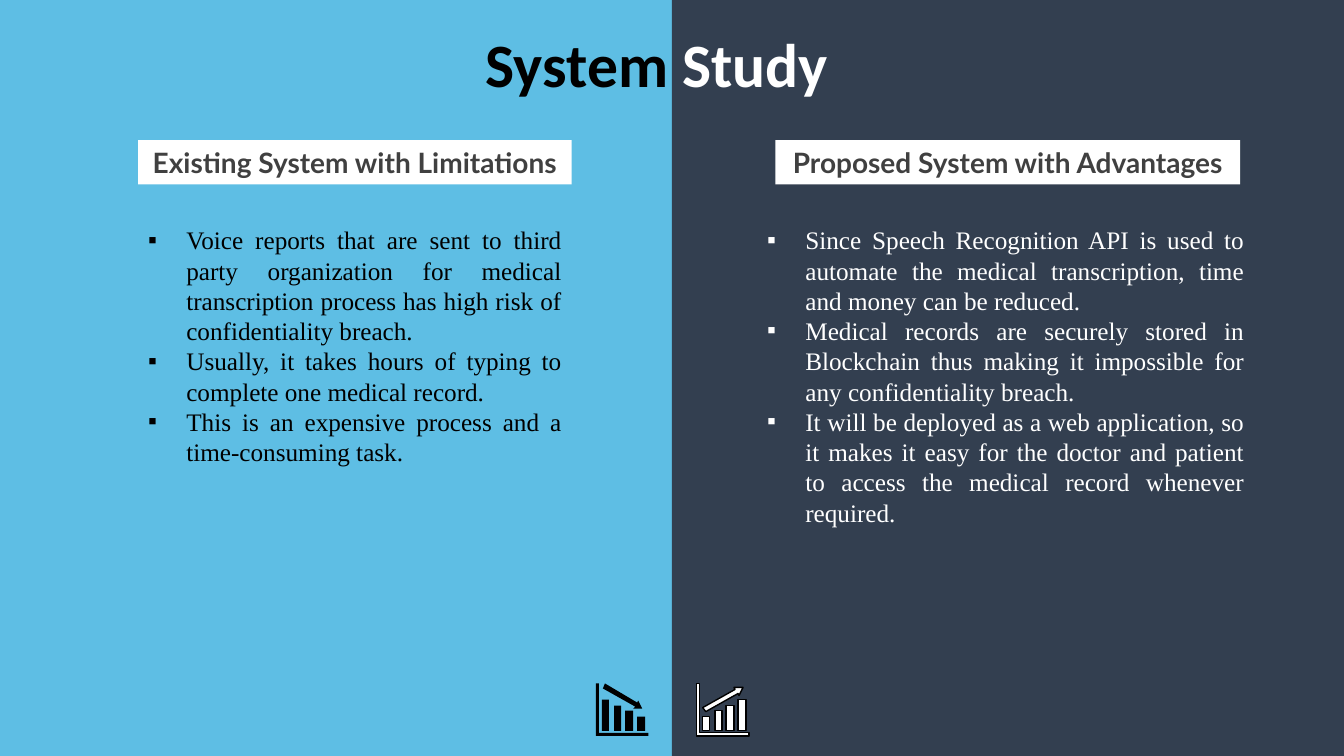
from pptx import Presentation, util as u
from pptx.dml.color import RGBColor
from pptx.enum import shapes, text
from pptx.oxml.ns import qn
from lxml import etree

W, H = 13.33, 7.5
HALF = W / 2
C = {"sky": "5EBEE4", "navy": "333F50", "white": "FFFFFF", "black": "000000", "gray": "404040"}

prs = Presentation()
prs.slide_width, prs.slide_height = u.Inches(W), u.Inches(H)
s = prs.slides.add_slide(prs.slide_layouts[5])


def write(p, words, font, size, color, bold=False, align=text.PP_ALIGN.CENTER, bullet=None):
    p.alignment = align
    if bullet:
        pPr = p._p.get_or_add_pPr()
        pPr.set("marL", str(u.Inches(0.38)))
        pPr.set("indent", str(-u.Inches(0.38)))
        etree.SubElement(pPr, qn("a:buFont"), typeface=font)
        etree.SubElement(pPr, qn("a:buChar"), char=bullet)
    r = p.add_run()
    r.text = words
    r.font.name, r.font.size, r.font.bold = font, u.Pt(size), bold
    r.font.color.rgb = RGBColor.from_string(C[color])


def paint(sp, fill, line=None):
    sp.shadow.inherit = False
    sp.fill.solid()
    sp.fill.fore_color.rgb = RGBColor.from_string(C[fill])
    if line:
        sp.line.color.rgb = RGBColor.from_string(C[line])
        sp.line.width = u.Pt(1)
    else:
        sp.line.fill.background()


columns = [
    dict(panel="sky", ink="black", outline=None, heading="Existing System with Limitations",
         head=(1.37, 4.3), body=(1.37, 4.3, 2.52), icon=591, tops=(16, 22, 27, 33),
         arrow=[(9, 0), (41, 19), (42, 17), (46, 25), (37, 25), (39, 23), (7, 5)],
         points=["Voice reports that are sent to third party organization for medical transcription process has high risk of confidentiality breach.",
                 "Usually, it takes hours of typing to complete one medical record.",
                 "This is an expensive process and a time-consuming task."]),
    dict(panel="navy", ink="white", outline="black", heading="Proposed System with Advantages",
         head=(7.69, 4.61), body=(7.51, 4.93, 3.13), icon=691, tops=(33, 27, 22, 16),
         arrow=[(37, 4), (46, 4), (42, 12), (41, 10), (9, 28), (6, 24), (38, 6)],
         points=["Since Speech Recognition API is used to automate the medical transcription, time and money can be reduced.",
                 "Medical records are securely stored in Blockchain thus making it impossible for any confidentiality breach.",
                 "It will be deployed as a web application, so it makes it easy for the doctor and patient to access the medical record whenever required."]),
]

for i, col in enumerate(columns):
    sp = s.shapes.add_shape(shapes.MSO_SHAPE.RECTANGLE, u.Inches(i * HALF), 0, u.Inches(HALF), u.Inches(H))
    paint(sp, col["panel"])

    left, width = col["head"]
    sp = s.shapes.add_shape(shapes.MSO_SHAPE.RECTANGLE, u.Inches(left), u.Inches(1.39), u.Inches(width), u.Inches(0.44))
    paint(sp, "white")
    tf = sp.text_frame
    tf.word_wrap = True
    tf.vertical_anchor = text.MSO_ANCHOR.MIDDLE
    write(tf.paragraphs[0], col["heading"], "Lato", 20, "gray", bold=True)

    left, width, height = col["body"]
    tf = s.shapes.add_textbox(u.Inches(left), u.Inches(2.18), u.Inches(width), u.Inches(height)).text_frame
    tf.word_wrap = True
    for n, point in enumerate(col["points"]):
        p = tf.add_paragraph() if n else tf.paragraphs[0]
        write(p, point, "Times New Roman", 18, col["ink"], align=text.PP_ALIGN.JUSTIFY, bullet="▪")

    contours = [[(0, 0), (3, 0), (3, 49), (52, 49), (52, 52), (0, 52)], col["arrow"]]
    for n, top in enumerate(col["tops"]):
        x = 6 + n * 11.67
        contours.append([(x, top), (x + 7.5, top), (x + 7.5, 47), (x, 47)])
    contours = [[(col["icon"] + x, 678 + y) for x, y in c] for c in contours]
    fb = s.shapes.build_freeform(*contours[0][0], scale=u.Inches(1) / 100)
    for n, contour in enumerate(contours):
        if n:
            fb.move_to(*contour[0])
        fb.add_line_segments(contour[1:], close=True)
    paint(fb.convert_to_shape(), col["ink"], col["outline"])

title = s.shapes.title
title.left, title.top, title.width, title.height = [u.Inches(v) for v in (0.74, 0.29, 11.55, 0.88)]
tf = title.text_frame
tf.word_wrap = True
tf.auto_size = text.MSO_AUTO_SIZE.NONE
tf.vertical_anchor = text.MSO_ANCHOR.TOP
p = tf.paragraphs[0]
p.line_spacing = 0.9
for words, color in (("System ", "black"), ("Study", "white")):
    write(p, words, "Calibri", 44, color, bold=True)
title.element.getparent().append(title.element)

prs.save("out.pptx")
